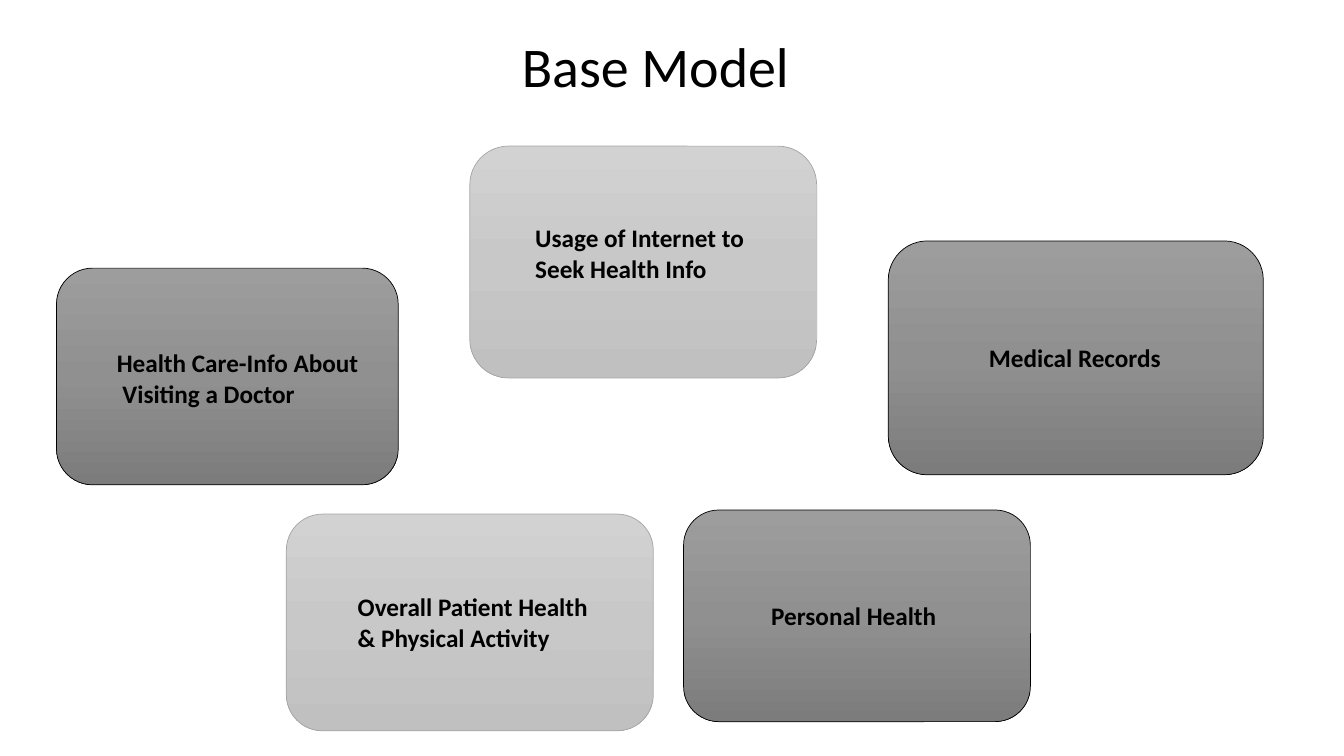
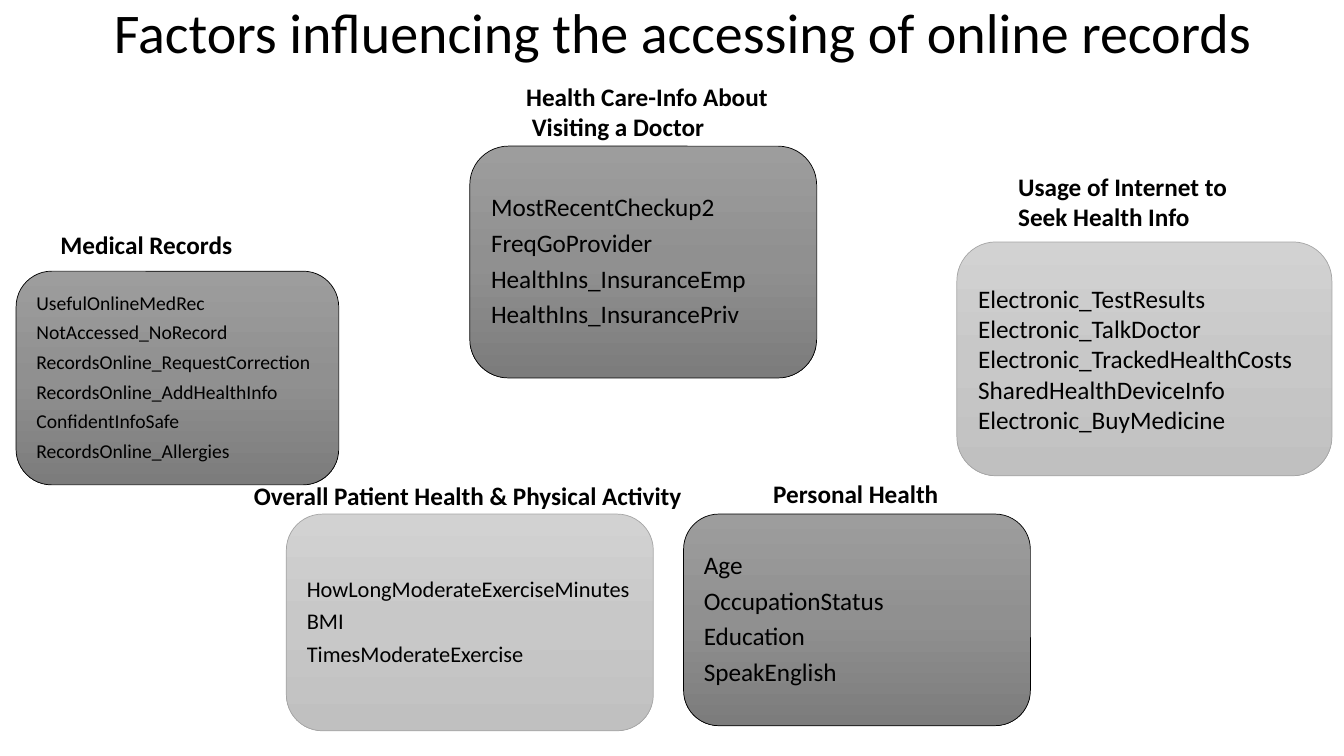
"""Build two slides on the factor groups behind accessing online health records."""
from copy import deepcopy

from pptx import Presentation
from pptx.dml.color import RGBColor
from pptx.enum.shapes import MSO_SHAPE
from pptx.enum.text import MSO_ANCHOR, MSO_AUTO_SIZE, PP_ALIGN
from pptx.oxml.ns import qn
from pptx.util import Inches, Pt

ROUNDED = MSO_SHAPE.ROUNDED_RECTANGLE
MIDDLE = MSO_ANCHOR.MIDDLE
LEFT, CENTER = PP_ALIGN.LEFT, PP_ALIGN.CENTER
NO_FIT, GROW = MSO_AUTO_SIZE.NONE, MSO_AUTO_SIZE.SHAPE_TO_FIT_TEXT

FONT = "Calibri"
BLACK = "000000"
TITLE_ONLY = 5
DARK = {"stops": ["9D9D9D", "909090", "7C7C7C"], "line": BLACK}
LIGHT = {"stops": ["D2D2D2", "C8C8C8", "C0C0C0"], "line": "A5A5A5"}
LOOSE = {"spacing": 0.9, "after": 6}

VISITS = ["Health Care-Info About", " Visiting a Doctor"]
INTERNET = ["Usage of Internet to", "Seek Health Info"]
RECORDS = ["Medical Records"]
ACTIVITY = ["Overall Patient Health", "& Physical Activity"]
PERSONAL = ["Personal Health"]

SLIDES = [
    {
        "title": "Base Model", "title_at": (0.75, 0.33), "align": CENTER,
        "cards": [
            {"at": (8.81, 2.39, 3.72, 2.32), "tone": DARK},
            {"at": (4.66, 1.45, 3.44, 2.3), "tone": LIGHT},
            {"at": (2.84, 5.1, 3.64, 2.15), "tone": LIGHT},
            {"at": (6.78, 5.06, 3.44, 2.1), "tone": DARK},
            {"at": (0.56, 2.66, 3.39, 2.15), "tone": DARK},
        ],
        "headings": [
            (VISITS, 1.06, 3.4, 2.62),
            (INTERNET, 5.21, 2.16, 2.35),
            (RECORDS, 9.71, 3.35, 1.92),
            (ACTIVITY, 3.45, 5.82, 2.56),
            (PERSONAL, 7.55, 5.91, 1.85),
        ],
    },
    {
        "title": "Factors influencing the accessing of online records",
        "title_at": (1.03, 0), "align": LEFT,
        "cards": [
            {"at": (9.49, 2.4, 3.72, 2.32), "tone": LIGHT, "size": 18, "gaps": {},
             "factors": ["Electronic_TestResults", "Electronic_TalkDoctor",
                         "Electronic_TrackedHealthCosts", "SharedHealthDeviceInfo",
                         "Electronic_BuyMedicine"]},
            {"at": (4.66, 1.45, 3.44, 2.3), "tone": DARK, "size": 18, "gaps": LOOSE,
             "factors": ["MostRecentCheckup2", "FreqGoProvider",
                         "HealthIns_InsuranceEmp", "HealthIns_InsurancePriv"]},
            {"at": (2.84, 5.1, 3.64, 2.15), "tone": LIGHT, "size": 16, "gaps": LOOSE,
             "factors": ["HowLongModerateExerciseMinutes", "BMI",
                         "TimesModerateExercise"]},
            {"at": (6.78, 5.1, 3.44, 2.1), "tone": DARK, "size": 18, "gaps": LOOSE,
             "factors": ["Age", "OccupationStatus", "Education", "SpeakEnglish"]},
            {"at": (0.16, 2.69, 3.2, 2.12), "tone": DARK, "size": 14, "gaps": LOOSE,
             "factors": ["UsefulOnlineMedRec", "NotAccessed_NoRecord",
                         "RecordsOnline_RequestCorrection",
                         "RecordsOnline_AddHealthInfo", "ConfidentInfoSafe",
                         "RecordsOnline_Allergies"]},
        ],
        "headings": [
            (RECORDS, 0.5, 2.23, 1.92),
            (INTERNET, 10, 1.65, 2.35),
            ([" ".join(ACTIVITY)], 2.42, 4.72, 4.48),
            (PERSONAL, 7.57, 4.7, 1.85),
            (VISITS, 5.12, 0.76, 2.62),
        ],
    },
]


def rgb(code):
    return RGBColor.from_string(code)


def write(frame, lines, size, bold=False, align=LEFT, spacing=1.0, after=0):
    for index, line in enumerate(lines):
        paragraph = frame.add_paragraph() if index else frame.paragraphs[0]
        paragraph.alignment = align
        paragraph.line_spacing = spacing
        paragraph.space_before = Pt(0)
        paragraph.space_after = Pt(after)
        run = paragraph.add_run()
        run.text = line
        run.font.name = FONT
        run.font.size = Pt(size)
        run.font.bold = bold
        run.font.color.rgb = rgb(BLACK)


def add_title(slide, text, left, top, align):
    title = slide.shapes.title
    title.left, title.top = Inches(left), Inches(top)
    title.width, title.height = Inches(11.5), Inches(0.71)
    title.text_frame.auto_size = NO_FIT
    title.text_frame.vertical_anchor = MIDDLE
    write(title.text_frame, [text], 40, align=align, spacing=0.9)


def shade(card, tone):
    card.fill.gradient()
    card.fill.gradient_angle = 270
    stop_list = card.fill._xPr.find(qn("a:gradFill")).find(qn("a:gsLst"))
    stop_list.insert(1, deepcopy(stop_list[0]))
    for index, (stop, code) in enumerate(zip(card.fill.gradient_stops, tone["stops"])):
        stop.position = index / 2
        stop.color.rgb = rgb(code)
    card.line.color.rgb = rgb(tone["line"])
    card.line.width = Pt(0.5)


def add_card(slide, at, tone, factors=(), size=18, gaps=LOOSE):
    card = slide.shapes.add_shape(ROUNDED, *map(Inches, at))
    card.shadow.inherit = False
    shade(card, tone)
    card.text_frame.word_wrap = True
    card.text_frame.vertical_anchor = MIDDLE
    write(card.text_frame, factors, size, **gaps)


def add_heading(slide, lines, left, top, width):
    height = 0.1 + 0.3 * len(lines)
    box = slide.shapes.add_textbox(*map(Inches, (left, top, width, height)))
    box.text_frame.word_wrap = False
    box.text_frame.auto_size = GROW
    write(box.text_frame, lines, 18, bold=True)


def main():
    deck = Presentation()
    deck.slide_width, deck.slide_height = Inches(13.33), Inches(7.5)
    for content in SLIDES:
        slide = deck.slides.add_slide(deck.slide_layouts[TITLE_ONLY])
        add_title(slide, content["title"], *content["title_at"], content["align"])
        for card in content["cards"]:
            add_card(slide, **card)
        for heading in content["headings"]:
            add_heading(slide, *heading)
    deck.save("out.pptx")


if __name__ == "__main__":
    main()
